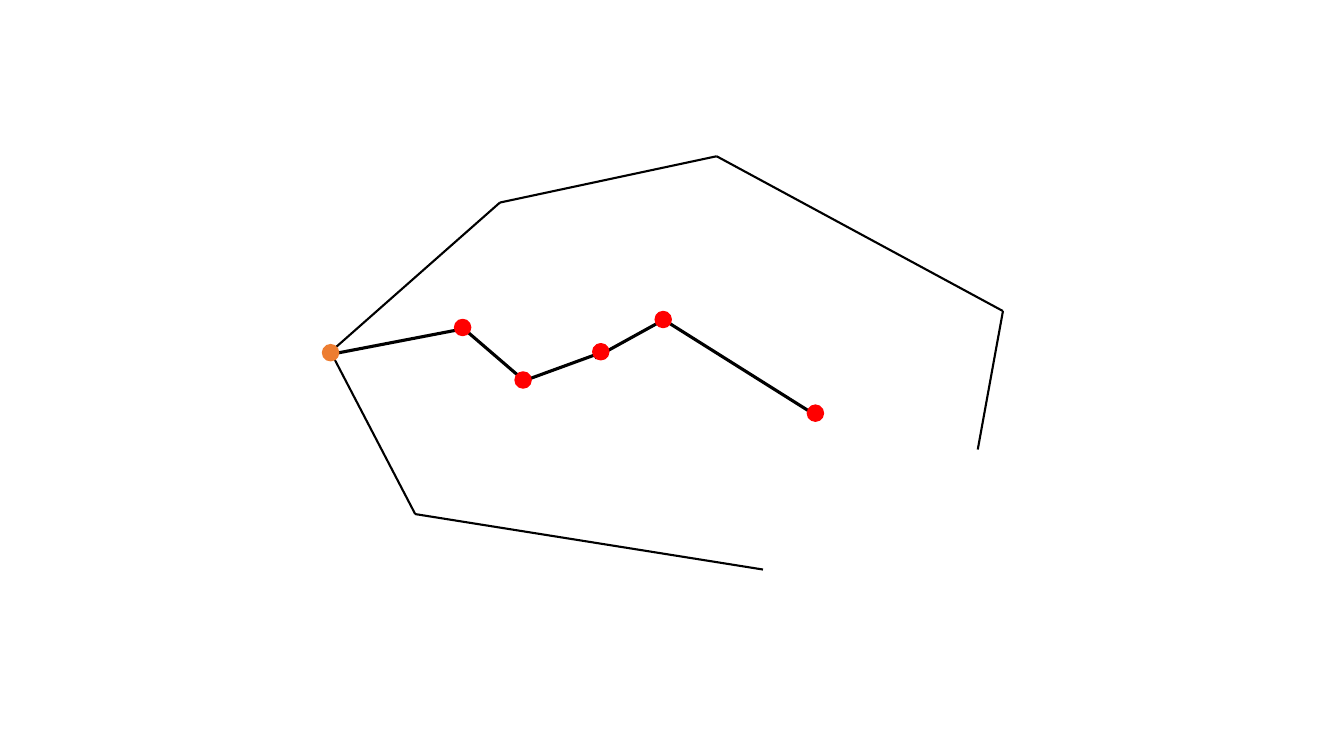
from itertools import pairwise

from lxml.etree import SubElement
from pptx import Presentation
from pptx.dml.color import RGBColor
from pptx.enum.shapes import MSO_CONNECTOR as CONNECTOR, MSO_SHAPE as SHAPE
from pptx.oxml.ns import qn
from pptx.util import Pt

BLACK, RED, ORANGE = "000000", "FF0000", "ED7D31"
DOT_SIZE = 11.5

ROOT = (236.2, 251.3)
UPPER_OUTLINE = [ROOT, (357.1, 144.7), (511.9, 111.6), (716.4, 222.2), (698.4, 321.1)]
LOWER_OUTLINE = [ROOT, (296.6, 367.2), (545, 406.8)]

# Each inner segment has its own ends, slightly overlapping its neighbours.
INNER_SEGMENTS = [
    ((373.7, 272.2), (429.1, 252)),
    ((378, 275), (326.2, 230.4)),
    ((335.5, 234), (241.9, 252)),
    ((424.8, 255.6), (474.5, 228.2)),
    ((473.8, 228.2), (586.1, 298.8)),
]

DOTS = [
    (576.7, 289.4, RED),
    (468, 222.5, RED),
    (423.4, 245.5, RED),
    (367.9, 265.7, RED),
    (324.7, 228.2, RED),
    (230.4, 246.2, ORANGE),
]


def color(value):
    return RGBColor.from_string(value)


def add_segment(slide, start, end, width):
    ends = [Pt(value) for value in (*start, *end)]
    connector = slide.shapes.add_connector(CONNECTOR.STRAIGHT, *ends)
    connector.line.color.rgb = color(BLACK)
    connector.line.width = Pt(width)
    SubElement(connector._element.spPr, qn("a:effectLst"))


def add_outline(slide, points):
    for start, end in pairwise(points):
        add_segment(slide, start, end, 1.5)


def add_dot(slide, left, top, fill):
    box = [Pt(value) for value in (left, top, DOT_SIZE, DOT_SIZE)]
    shape = slide.shapes.add_shape(SHAPE.OVAL, *box)
    shape.shadow.inherit = False
    shape.fill.solid()
    shape.fill.fore_color.rgb = color(fill)
    shape.line.color.rgb = color(fill)
    shape.line.width = Pt(1)


def main():
    presentation = Presentation()
    presentation.slide_width, presentation.slide_height = Pt(960), Pt(540)
    slide = presentation.slides.add_slide(presentation.slide_layouts[6])

    for start, end in INNER_SEGMENTS:
        add_segment(slide, start, end, 2.25)
    for points in (UPPER_OUTLINE, LOWER_OUTLINE):
        add_outline(slide, points)
    for left, top, fill in DOTS:
        add_dot(slide, left, top, fill)

    presentation.save("out.pptx")


if __name__ == "__main__":
    main()
